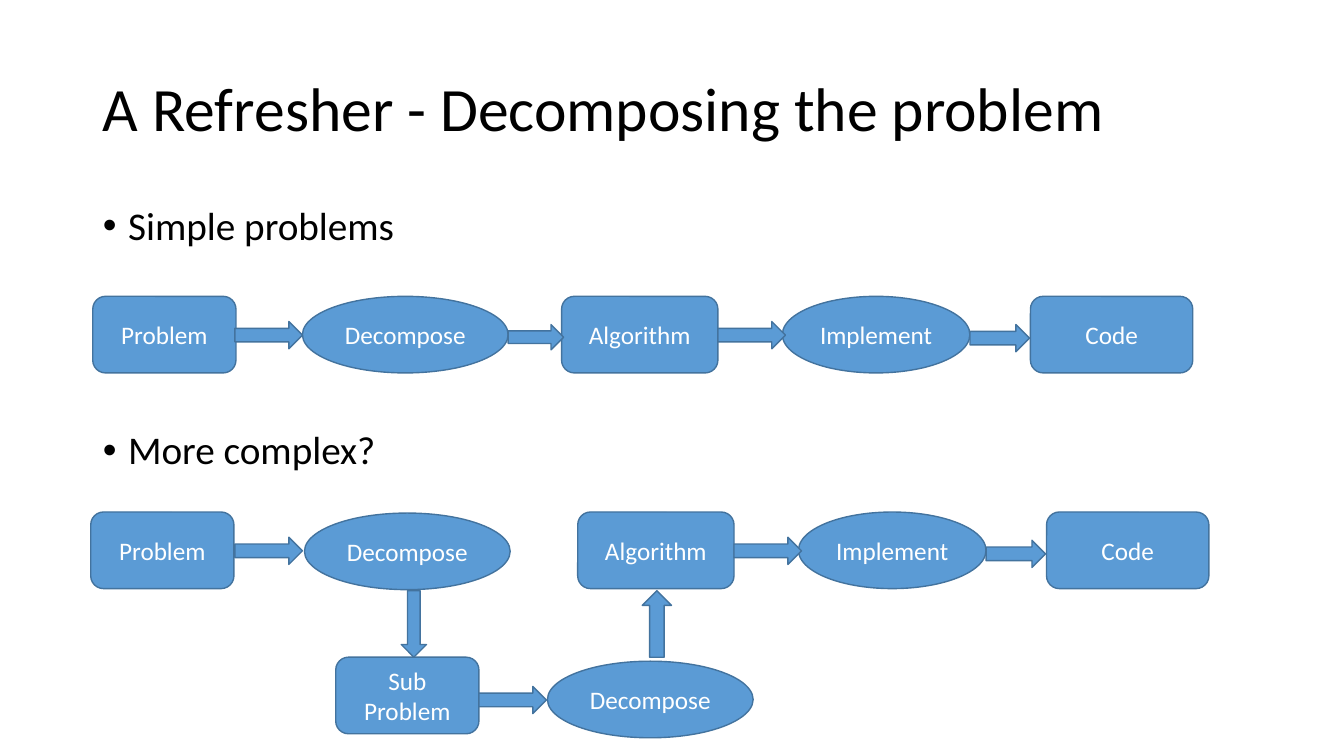
"""Build the slide on decomposing simple and complex problems."""
from pptx import Presentation
from pptx.dml.color import RGBColor
from pptx.enum.shapes import MSO_SHAPE
from pptx.enum.text import MSO_ANCHOR, MSO_AUTO_SIZE, PP_ALIGN
from pptx.util import Inches, Pt

COLORS = {"fill": "5B9BD5", "line": "43739E", "label": "FFFFFF", "text": "000000"}
NODE_HEIGHT = 0.76
NODES = {
    "Problem": (MSO_SHAPE.ROUNDED_RECTANGLE, 1.42),
    "Sub\nProblem": (MSO_SHAPE.ROUNDED_RECTANGLE, 1.42),
    "Decompose": (MSO_SHAPE.OVAL, 2.04),
    "Algorithm": (MSO_SHAPE.ROUNDED_RECTANGLE, 1.55),
    "Implement": (MSO_SHAPE.OVAL, 1.86),
    "Code": (MSO_SHAPE.ROUNDED_RECTANGLE, 1.61),
}
FRAME_FORMAT = {"word_wrap": True, "auto_size": MSO_AUTO_SIZE.NONE}
TITLE_FORMAT = {"alignment": PP_ALIGN.LEFT, "line_spacing": 0.9}
BULLET_FORMAT = {"alignment": PP_ALIGN.LEFT, "line_spacing": 0.9}


def color(name):
    return RGBColor.from_string(COLORS[name])


def apply_format(target, values):
    for name, value in values.items():
        setattr(target, name, value)


def style_font(font, size, color_name):
    apply_format(font, {"name": "Calibri", "size": Pt(size), "bold": False})
    font.color.rgb = color(color_name)


def place(shape, left, top, width, height):
    box = {"left": left, "top": top, "width": width, "height": height}
    apply_format(shape, {name: Inches(value) for name, value in box.items()})


def fill_title(title, text):
    place(title, 0.92, 0.38, 11.5, 1.45)
    frame = title.text_frame
    apply_format(frame, FRAME_FORMAT | {"vertical_anchor": MSO_ANCHOR.MIDDLE})
    frame.text = text
    paragraph = frame.paragraphs[0]
    apply_format(paragraph, TITLE_FORMAT)
    style_font(paragraph.runs[0].font, 44, "text")


def fill_body(body, bullets):
    place(body, 0.92, 2, 11.5, 4.76)
    frame = body.text_frame
    apply_format(frame, FRAME_FORMAT | {"vertical_anchor": MSO_ANCHOR.TOP})
    frame.text = "\n".join(text for text, _ in bullets)
    for paragraph, (_, space) in zip(frame.paragraphs, bullets):
        apply_format(paragraph, BULLET_FORMAT | {"space_before": Pt(space)})
        properties = paragraph._p.get_or_add_pPr()
        properties.set("marL", str(Inches(0.25)))
        properties.set("indent", str(Inches(-0.25)))
        style_font(paragraph.runs[0].font, 28, "text")


def add_block(slide, kind, left, top, width, height):
    box = [Inches(value) for value in (left, top, width, height)]
    shape = slide.shapes.add_shape(kind, *box)
    shape.shadow.inherit = False
    shape.fill.solid()
    shape.fill.fore_color.rgb = color("fill")
    shape.line.color.rgb = color("line")
    shape.line.width = Pt(1)
    return shape


def add_node(slide, label, left, top):
    kind, width = NODES[label]
    frame = add_block(slide, kind, left, top, width, NODE_HEIGHT).text_frame
    apply_format(frame, FRAME_FORMAT | {"vertical_anchor": MSO_ANCHOR.MIDDLE})
    frame.text = label
    for paragraph in frame.paragraphs:
        paragraph.alignment = PP_ALIGN.CENTER
        style_font(paragraph.runs[0].font, 18, "label")


def add_right_arrow(slide, left, top, width=0.67, height=0.27):
    add_block(slide, MSO_SHAPE.RIGHT_ARROW, left, top, width, height)


def add_down_arrow(slide, left, width, rotation=0):
    arrow = add_block(slide, MSO_SHAPE.DOWN_ARROW, left, 5.86, width, 0.66)
    arrow.rotation = rotation


def add_coding_steps(slide, left, top):
    for label, offset in (("Algorithm", 0), ("Implement", 2.19), ("Code", 4.65)):
        add_node(slide, label, left + offset, top)
    add_right_arrow(slide, left + 1.55, top + 0.25)
    add_right_arrow(slide, left + 4.05, top + 0.28, width=0.59)


def add_simple_flow(slide):
    add_node(slide, "Problem", 0.92, 2.94)
    add_node(slide, "Decompose", 3, 2.94)
    add_coding_steps(slide, 5.57, 2.94)
    add_right_arrow(slide, 2.33, 3.19)
    add_right_arrow(slide, 5.04, 3.22, width=0.55, height=0.25)


def add_complex_flow(slide):
    add_node(slide, "Problem", 0.9, 5.08)
    add_node(slide, "Decompose", 3.02, 5.09)
    add_right_arrow(slide, 2.33, 5.33)
    add_node(slide, "Sub\nProblem", 3.33, 6.52)
    add_node(slide, "Decompose", 5.43, 6.56)
    add_right_arrow(slide, 4.75, 6.81)
    add_coding_steps(slide, 5.73, 5.08)
    add_down_arrow(slide, 3.98, 0.25)
    add_down_arrow(slide, 6.37, 0.29, rotation=180)


def main():
    presentation = Presentation()
    presentation.slide_width = Inches(13.33)
    presentation.slide_height = Inches(7.5)
    slide = presentation.slides.add_slide(presentation.slide_layouts[1])
    fill_title(slide.shapes.title, "A Refresher - Decomposing the problem")
    fill_body(slide.placeholders[1], [("Simple problems", 10), ("More complex?", 130)])
    add_simple_flow(slide)
    add_complex_flow(slide)
    presentation.save("out.pptx")


main()
